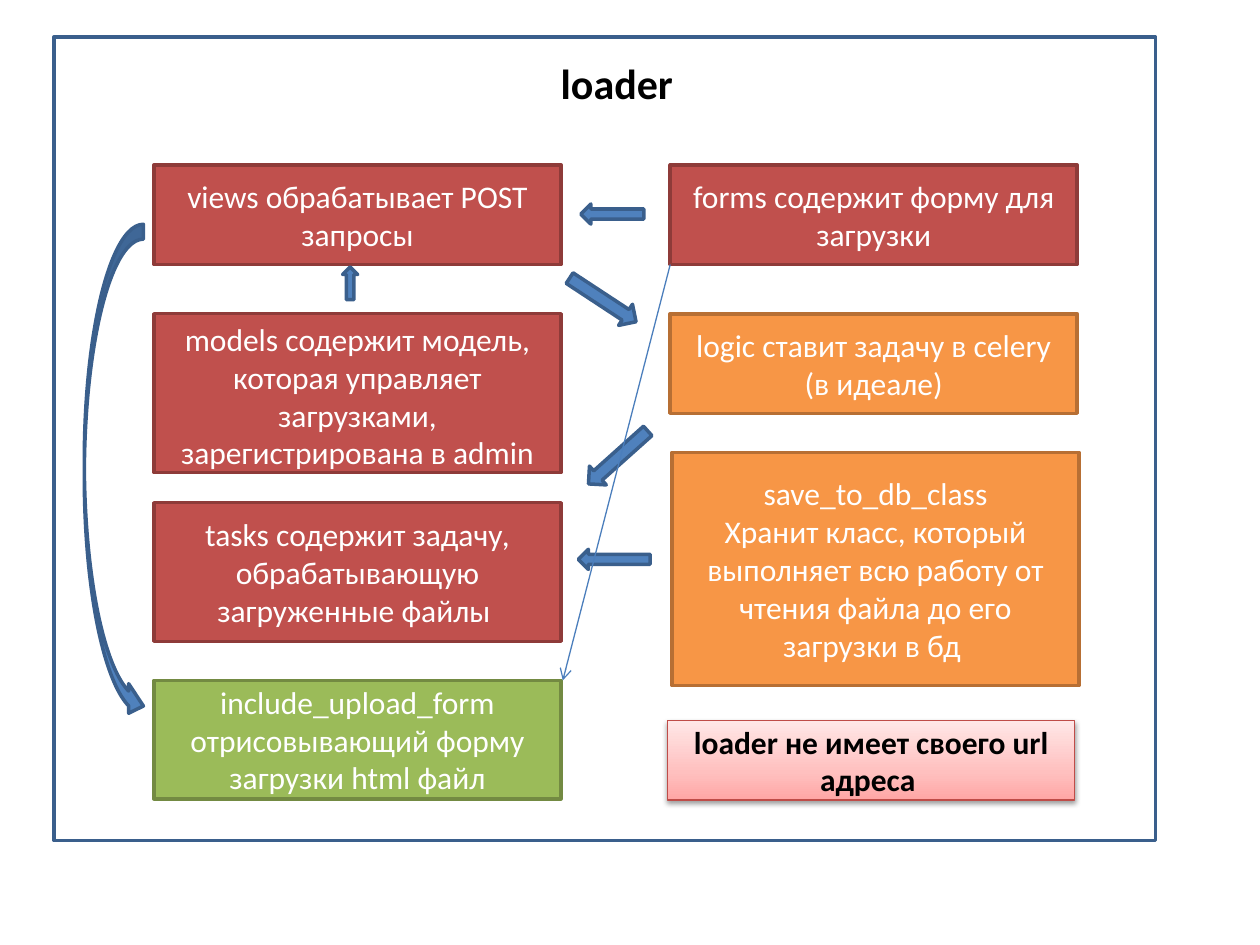
from lxml import etree
from pptx import Presentation
from pptx.dml.color import RGBColor
from pptx.enum.shapes import MSO_CONNECTOR, MSO_SHAPE
from pptx.enum.text import MSO_ANCHOR, MSO_AUTO_SIZE, PP_ALIGN
from pptx.oxml.ns import qn
from pptx.util import Pt

RECTANGLE = MSO_SHAPE.RECTANGLE
RIGHT, LEFT, UP = MSO_SHAPE.RIGHT_ARROW, MSO_SHAPE.LEFT_ARROW, MSO_SHAPE.UP_ARROW
CURVED = MSO_SHAPE.CURVED_RIGHT_ARROW
STRAIGHT = MSO_CONNECTOR.STRAIGHT
TOP, MIDDLE = MSO_ANCHOR.TOP, MSO_ANCHOR.MIDDLE
ALIGN_LEFT, CENTER = PP_ALIGN.LEFT, PP_ALIGN.CENTER
FIT_SHAPE = MSO_AUTO_SIZE.SHAPE_TO_FIT_TEXT

COLORS = {
    "red": "C0504D", "red line": "8E3B39",
    "orange": "F79646", "orange line": "B76F34",
    "green": "9BBB59", "green line": "738A42",
    "blue": "4F81BD", "blue line": "3A5F8C",
    "connector": "4B7EBC", "note line": "BF4C48",
    "note bottom": "FFA6A5", "note middle": "FFC0BF", "note top": "FFE7E7",
    "white": "FFFFFF", "black": "000000",
}


def color(name):
    return RGBColor.from_string(COLORS[name])


def write(frame, text, size=18, ink="white", bold=False, align=CENTER, anchor=MIDDLE):
    frame.word_wrap = True
    frame.vertical_anchor = anchor
    frame.text = text
    for para in frame.paragraphs:
        para.alignment = align
        for span in para.runs:
            span.font.name = "Calibri"
            span.font.size = Pt(size)
            span.font.bold = bold
            span.font.color.rgb = color(ink)


deck = Presentation()
deck.slide_width, deck.slide_height = Pt(720), Pt(540)
page = deck.slides.add_slide(deck.slide_layouts[5])
shapes = page.shapes

frame_box = shapes.add_shape(RECTANGLE, Pt(31), Pt(21), Pt(629.3), Pt(459.4))
frame_box.shadow.inherit = False
frame_box.fill.background()
frame_box.line.color.rgb = color("blue line")
frame_box.line.width = Pt(2)

title = shapes.title
title.left, title.top, title.width, title.height = Pt(313.2), Pt(29), Pt(93.6), Pt(36)
write(title.text_frame, "loader", size=24, ink="black", bold=True, align=ALIGN_LEFT, anchor=TOP)
title.text_frame.auto_size = FIT_SHAPE

LEFT_COLUMN, RIGHT_COLUMN, BOX_WIDTH = 88, 383, 232.6
ROW_1, ROW_2, LOW_HEIGHT = 94.3, 179.3, 56.9
FORM_TOP = 388.8

boxes = [
    (LEFT_COLUMN, ROW_1, LOW_HEIGHT, "red", MIDDLE, "views обрабатывает POST запросы"),
    (LEFT_COLUMN, ROW_2, 90.7, "red", TOP,
     "models содержит модель, которая управляет загрузками, зарегистрирована в admin"),
    (LEFT_COLUMN, 287.3, 79.2, "red", MIDDLE,
     "tasks содержит задачу, обрабатывающую загруженные файлы "),
    (RIGHT_COLUMN, ROW_1, LOW_HEIGHT, "red", MIDDLE, "forms содержит форму для загрузки"),
    (RIGHT_COLUMN, ROW_2, LOW_HEIGHT, "orange", MIDDLE, "logic ставит задачу в celery (в идеале)"),
    (RIGHT_COLUMN + 1, 258.5, 133.2, "orange", MIDDLE,
     "save_to_db_class\nХранит класс, который выполняет всю работу от чтения файла до его загрузки в бд "),
    (LEFT_COLUMN, FORM_TOP, 67.7, "green", MIDDLE,
     "include_upload_form отрисовывающий форму загрузки html файл"),
]
for left, top, height, tone, anchor, text in boxes:
    box = shapes.add_shape(RECTANGLE, Pt(left), Pt(top), Pt(BOX_WIDTH), Pt(height))
    box.shadow.inherit = False
    box.fill.solid()
    box.fill.fore_color.rgb = color(tone)
    box.line.color.rgb = color(tone + " line")
    box.line.width = Pt(2)
    write(box.text_frame, text, anchor=anchor)

arrows = [
    (RIGHT, 321.8, 164.2, 45.4, 14.4, 33.3),
    (RIGHT, 330.5, 254.2, 45.4, 14.4, 138.2),
    (UP, 195.8, 152.6, 8.6, 18.7, 0),
    (LEFT, 331.9, 116.6, 36, 11.5, 0),
    (LEFT, 330.5, 313.9, 41, 11.5, 0),
    (CURVED, 48.2, 128.2, 33.8, 283.7, 0),
]
for kind, left, top, width, height, angle in arrows:
    arrow = shapes.add_shape(kind, Pt(left), Pt(top), Pt(width), Pt(height))
    arrow.rotation = angle
    arrow.shadow.inherit = False
    arrow.fill.solid()
    arrow.fill.fore_color.rgb = color("blue")
    arrow.line.color.rgb = color("blue line")
    arrow.line.width = Pt(2)

note = shapes.add_shape(RECTANGLE, Pt(381.6), Pt(411.8), Pt(BOX_WIDTH), Pt(45.4))
note.shadow.inherit = False
note.fill.gradient()
note.fill.gradient_angle = 90
note.line.color.rgb = color("note line")
note.line.width = Pt(0.75)
write(note.text_frame, "loader не имеет своего url адреса ", ink="black", bold=True)

properties = note.element.spPr
stops = properties.find(qn("a:gradFill")).find(qn("a:gsLst"))
for stop in list(stops):
    stops.remove(stop)
for position, name in [(0, "note bottom"), (35, "note middle"), (100, "note top")]:
    stop = etree.SubElement(stops, qn("a:gs"), pos=str(position * 1000))
    etree.SubElement(stop, qn("a:srgbClr"), val=COLORS[name])
shadow = etree.SubElement(properties.find(qn("a:effectLst")), qn("a:outerShdw"),
                          blurRad=str(Pt(3.1)), dist=str(Pt(1.6)), dir="5400000", rotWithShape="0")
shade = etree.SubElement(shadow, qn("a:srgbClr"), val=COLORS["black"])
etree.SubElement(shade, qn("a:alpha"), val="38000")

connector = shapes.add_connector(STRAIGHT, Pt(RIGHT_COLUMN), Pt(ROW_1 + LOW_HEIGHT),
                                 Pt(LEFT_COLUMN + BOX_WIDTH + 1), Pt(FORM_TOP))
connector.line.color.rgb = color("connector")
connector.line.width = Pt(0.75)
etree.SubElement(connector.line._get_or_add_ln(), qn("a:tailEnd"), type="arrow")
etree.SubElement(connector.element.spPr, qn("a:effectLst"))

deck.save("out.pptx")
